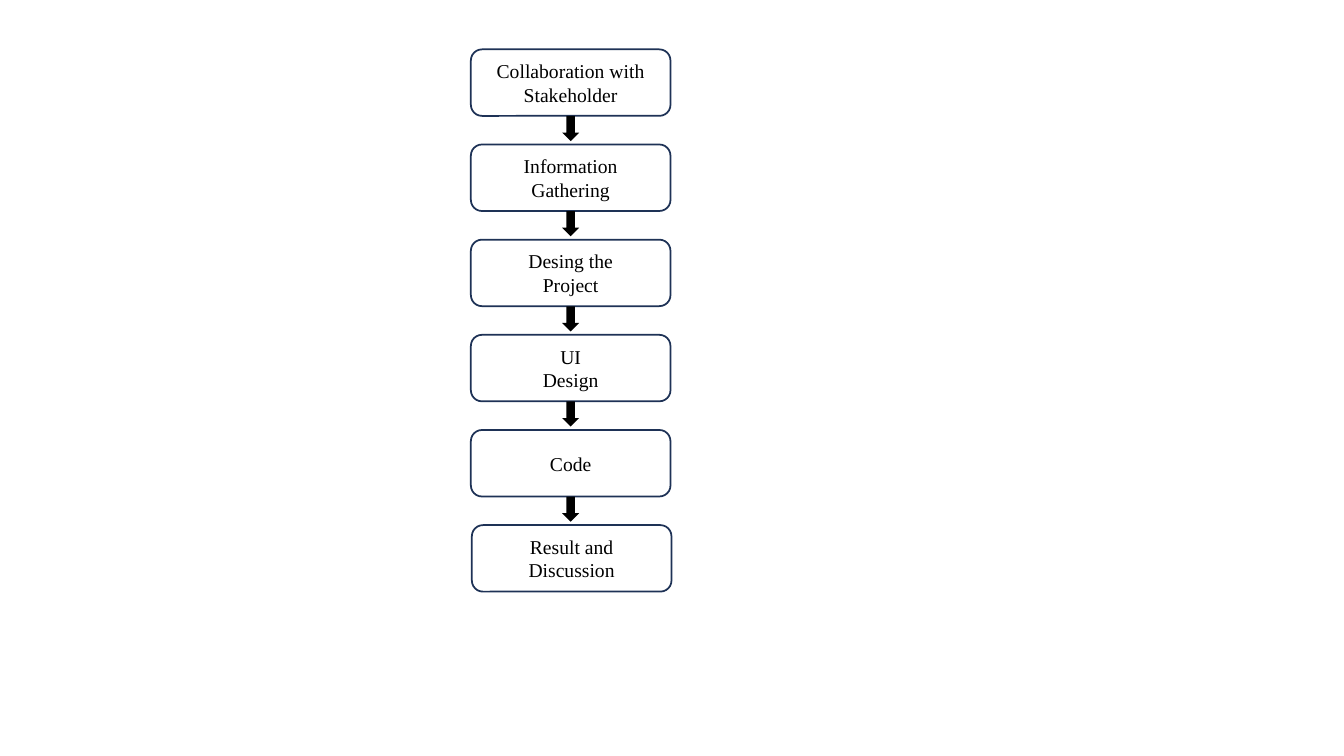
from dataclasses import dataclass

from pptx import Presentation
from pptx.dml.color import RGBColor
from pptx.enum.shapes import MSO_SHAPE
from pptx.enum.text import MSO_ANCHOR, PP_ALIGN
from pptx.util import Inches, Pt


@dataclass(frozen=True)
class Theme:
    font: str = "Times New Roman"
    text_size: Pt = Pt(14)
    ink: RGBColor = RGBColor(0x00, 0x00, 0x00)
    outline: RGBColor = RGBColor(0x1E, 0x32, 0x56)
    outline_width: Pt = Pt(1.25)


THEME = Theme()

STEPS = [
    ["Collaboration with", "Stakeholder"],
    ["Information", "Gathering"],
    ["Desing the", "Project"],
    ["UI", "Design"],
    ["Code"],
    ["Result and", "Discussion"],
]

FIRST_TOP, LAST_TOP = Inches(0.49), Inches(5.21)
ROW_PITCH = (LAST_TOP - FIRST_TOP) / (len(STEPS) - 1)
BOX_LEFT, LAST_BOX_LEFT = Inches(4.67), Inches(4.68)
BOX_WIDTH, BOX_HEIGHT = Inches(1.98), Inches(0.66)
ARROW_WIDTH, ARROW_HEIGHT = Inches(0.17), Inches(0.25)


def row_top(row):
    return round(FIRST_TOP + row * ROW_PITCH)


def add_step(page, row, lines):
    left = LAST_BOX_LEFT if row == len(STEPS) - 1 else BOX_LEFT
    box = page.shapes.add_shape(
        MSO_SHAPE.ROUNDED_RECTANGLE, left, row_top(row), BOX_WIDTH, BOX_HEIGHT
    )
    box.shadow.inherit = False
    box.fill.background()
    box.line.color.rgb = THEME.outline
    box.line.width = THEME.outline_width

    frame = box.text_frame
    frame.word_wrap = True
    frame.vertical_anchor = MSO_ANCHOR.MIDDLE
    frame.text = "\n".join(lines)
    for para in frame.paragraphs:
        para.alignment = PP_ALIGN.CENTER
        para.font.name = THEME.font
        para.font.size = THEME.text_size
        para.font.color.rgb = THEME.ink


def add_down_arrow(page, row):
    """Point from the foot of the box in this row to the next one."""
    left = BOX_LEFT + (BOX_WIDTH - ARROW_WIDTH) // 2
    arrow = page.shapes.add_shape(
        MSO_SHAPE.DOWN_ARROW, left, row_top(row) + BOX_HEIGHT, ARROW_WIDTH, ARROW_HEIGHT
    )
    arrow.shadow.inherit = False
    arrow.fill.solid()
    arrow.fill.fore_color.rgb = THEME.ink
    arrow.line.fill.background()


def main():
    deck = Presentation()
    deck.slide_width, deck.slide_height = Inches(13.33), Inches(7.5)
    page = deck.slides.add_slide(deck.slide_layouts[6])

    for row, lines in enumerate(STEPS):
        add_step(page, row, lines)
    for row in range(len(STEPS) - 1):
        add_down_arrow(page, row)

    deck.save("out.pptx")


if __name__ == "__main__":
    main()
